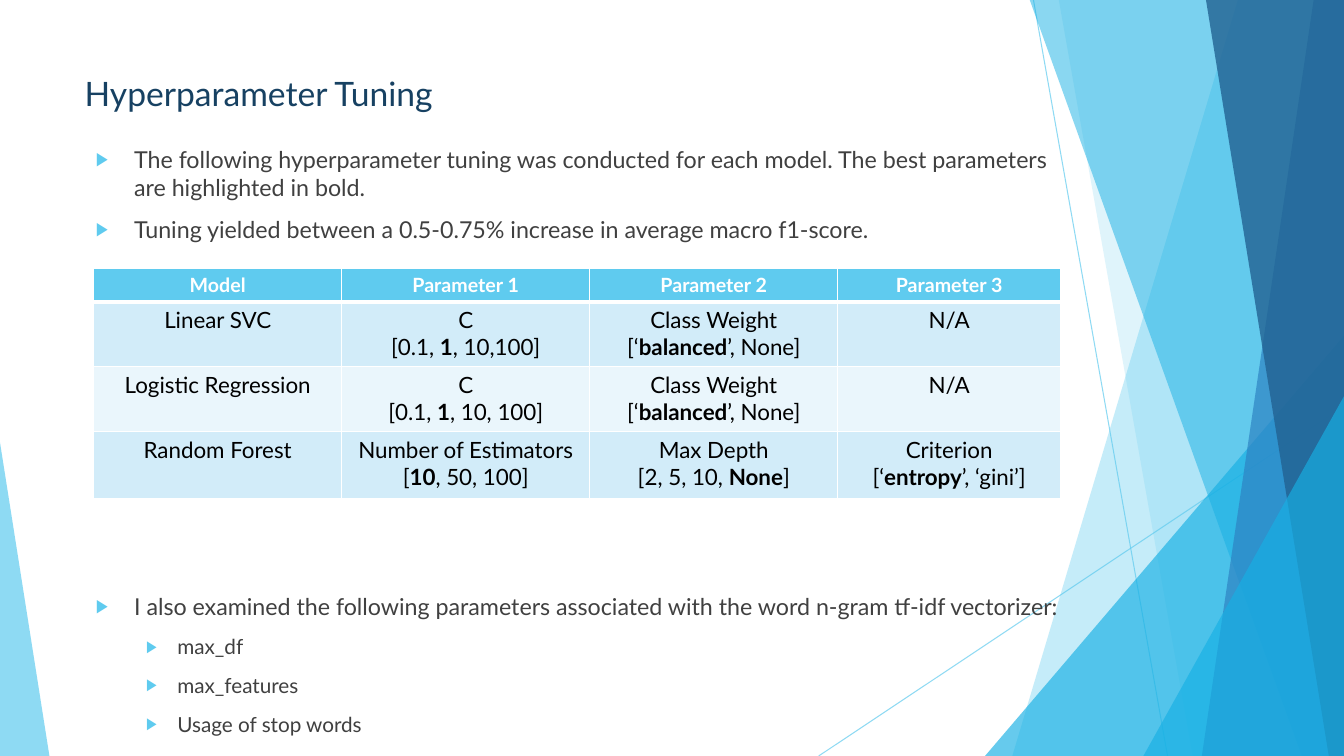
from dataclasses import dataclass

from lxml.etree import SubElement
from pptx import Presentation
from pptx.dml.color import RGBColor
from pptx.enum.shapes import MSO_CONNECTOR, MSO_SHAPE
from pptx.enum.text import MSO_ANCHOR, MSO_AUTO_SIZE, PP_ALIGN
from pptx.oxml import parse_xml
from pptx.oxml.ns import nsdecls, qn
from pptx.util import Inches, Pt


@dataclass(frozen=True)
class Theme:
    """Colours, font and type sizes of the slide."""
    font: str = "Lato"
    title: str = "174162"
    body: str = "404040"
    black: str = "000000"
    white: str = "FFFFFF"
    sky: str = "5FCBEF"
    cyan: str = "17B0E4"
    blue: str = "2E83C3"
    navy: str = "226292"
    bands: tuple = ("D2ECF9", "EAF6FC")
    title_size: float = 24
    body_size: float = 16.6
    sub_size: float = 14.8
    header_size: float = 14
    cell_size: float = 16


THEME = Theme()
WIDTH, HEIGHT, BAND_TOP = 13.33, 7.5, -0.01

LINES = [(10.25, 0, 11.58, HEIGHT), (WIDTH, 4.03, 8.12, HEIGHT)]
BACK_BANDS = [(12.28, 10.04, THEME.sky, 36), (10.5, 11.83, THEME.sky, 20)]
FRONT_BANDS = [
    (10.21, 12.91, THEME.cyan, 50),
    (13.03, 11.92, THEME.blue, 70),
    (11.96, 13.18, THEME.navy, 80),
]

BULLETS = [
    (0, 10, "The following hyperparameter tuning was conducted for each model. "
            "The best parameters are highlighted in bold."),
    (0, 10, "Tuning yielded between a 0.5-0.75% increase in average macro f1-score."),
    (0, 249.4, "I also examined the following parameters associated with "
               "the word n-gram tf-idf vectorizer:"),
    (1, 10, "max_df"),
    (1, 10, "max_features"),
    (1, 10, "Usage of stop words"),
]

COLUMN_WIDTHS = [2.46, 2.46, 2.46, 2.21]
ROW_HEIGHTS = [0.32, 0.64, 0.65, 0.66]
ROWS = [
    ["Model", "Parameter 1", "Parameter 2", "Parameter 3"],
    ["Linear SVC", "C\n[0.1, *1*, 10,100]", "Class Weight\n[‘*balanced*’, None]", "N/A"],
    ["Logistic Regression", "C\n[0.1, *1*, 10, 100]",
     "Class Weight\n[‘*balanced*’, None]", "N/A"],
    ["Random Forest", "Number of Estimators\n[*10*, 50, 100]",
     "Max Depth\n[2, 5, 10, *None*]", "Criterion\n[‘*entropy*’, ‘gini’]"],
]


def set_alpha(shape, percent):
    """Make the colour of a shape or line partly transparent."""
    color = shape._element.spPr.find(".//" + qn("a:srgbClr"))
    SubElement(color, qn("a:alpha")).set("val", str(percent * 1000))


def fill_shape(shape, color, opacity):
    """Give a shape a translucent fill without outline or shadow."""
    shape.shadow.inherit = False
    shape.fill.solid()
    shape.fill.fore_color.rgb = RGBColor.from_string(color)
    shape.line.fill.background()
    set_alpha(shape, opacity)


def add_line(slide, start_x, start_y, end_x, end_y):
    """Draw a thin decorative line."""
    line = slide.shapes.add_connector(
        MSO_CONNECTOR.STRAIGHT, Inches(start_x), Inches(start_y), Inches(end_x), Inches(end_y))
    line.line.color.rgb = RGBColor.from_string(THEME.sky)
    line.line.width = Pt(0.75)
    set_alpha(line, 70)
    SubElement(line._element.spPr, qn("a:effectLst"))


def add_band(slide, top_x, bottom_x, color, opacity):
    """Draw a band with a slanted left side that reaches the right edge."""
    corners = [(WIDTH, BAND_TOP), (WIDTH, HEIGHT), (bottom_x, HEIGHT)]
    builder = slide.shapes.build_freeform(Inches(top_x), Inches(BAND_TOP))
    builder.add_line_segments([(Inches(x), Inches(y)) for x, y in corners], close=True)
    fill_shape(builder.convert_to_shape(), color, opacity)


def add_triangle(slide, left, top, right, apex, color, opacity):
    """Draw a right triangle that stands on the bottom edge."""
    triangle = slide.shapes.add_shape(
        MSO_SHAPE.ISOSCELES_TRIANGLE, Inches(left), Inches(top),
        Inches(right - left), Inches(HEIGHT - top))
    triangle.adjustments[0] = apex
    fill_shape(triangle, color, opacity)


def add_decoration(slide):
    """Draw the faceted background from back to front."""
    for line in LINES:
        add_line(slide, *line)
    for band in BACK_BANDS:
        add_band(slide, *band)
    add_triangle(slide, 9.77, 3.33, WIDTH, 1, THEME.cyan, 66)
    for band in FRONT_BANDS:
        add_band(slide, *band)
    add_triangle(slide, 11.34, 3.93, WIDTH, 1, THEME.cyan, 66)
    add_triangle(slide, 0, 4.39, 0.49, 0, THEME.sky, 70)


def format_span(span, size, color, bold=False):
    """Set the font of one run."""
    span.font.name = THEME.font
    span.font.size = Pt(size)
    span.font.bold = bold
    span.font.color.rgb = RGBColor.from_string(color)


def place_placeholder(box, left, top, width, height):
    """Move a placeholder above the background and anchor its text at the top."""
    box.left, box.top = Inches(left), Inches(top)
    box.width, box.height = Inches(width), Inches(height)
    box._element.getparent().append(box._element)
    frame = box.text_frame
    frame.word_wrap = True
    frame.auto_size = MSO_AUTO_SIZE.NONE
    frame.vertical_anchor = MSO_ANCHOR.TOP
    return frame


def add_title(slide, text):
    """Fill the title placeholder."""
    frame = place_placeholder(slide.shapes.title, 0.74, 0.67, 9.4, 1.44)
    frame.text = text
    para = frame.paragraphs[0]
    para.alignment = PP_ALIGN.LEFT
    format_span(para.runs[0], THEME.title_size, THEME.title)


def set_bullet(para, margin, indent):
    """Give a paragraph an arrow bullet with a hanging indent."""
    properties = para._p.get_or_add_pPr()
    properties.set("marL", str(Inches(margin)))
    properties.set("indent", str(Inches(indent)))
    color = SubElement(properties, qn("a:buClr"))
    SubElement(color, qn("a:srgbClr")).set("val", THEME.sky)
    SubElement(properties, qn("a:buSzPct")).set("val", "80000")
    SubElement(properties, qn("a:buChar")).set("char", "▶")


def add_bullets(slide):
    """Fill the body placeholder with the bulleted list."""
    frame = place_placeholder(slide.placeholders[1], 0.85, 1.39, 9.92, 5.49)
    frame.text = "\n".join(text for _, _, text in BULLETS)
    for para, (level, space, _) in zip(frame.paragraphs, BULLETS):
        para.level = level
        para.space_before = Pt(space)
        set_bullet(para, *[(0.38, -0.38), (0.81, -0.31)][level])
        format_span(para.runs[0], [THEME.body_size, THEME.sub_size][level], THEME.body)


def set_borders(cell, top, bottom):
    """Draw white borders around a cell, with widths in points."""
    sides = [("L", 1), ("R", 1), ("T", top), ("B", bottom)]
    for index, (side, width) in enumerate(sides):
        border = parse_xml(
            f'<a:ln{side} {nsdecls("a")} w="{Pt(width)}"><a:solidFill>'
            f'<a:srgbClr val="{THEME.white}"/></a:solidFill></a:ln{side}>')
        cell._tc.get_or_add_tcPr().insert(index, border)


def fill_cell(cell, text, row):
    """Write a cell, with the parts between asterisks in bold."""
    header = row == 0
    cell.fill.solid()
    cell.fill.fore_color.rgb = RGBColor.from_string(
        THEME.sky if header else THEME.bands[(row - 1) % 2])
    set_borders(cell, 3 if row == 1 else 1, 3 if header else 1)
    size, color = (
        (THEME.header_size, THEME.white) if header else (THEME.cell_size, THEME.black))
    for number, content in enumerate(text.split("\n")):
        para = cell.text_frame.add_paragraph() if number else cell.text_frame.paragraphs[0]
        para.alignment = PP_ALIGN.CENTER
        for index, part in enumerate(content.split("*")):
            span = para.add_run()
            span.text = part
            format_span(span, size, color, header or index % 2 == 1)


def add_parameter_table(slide):
    """Add the table of tuned parameters."""
    table = slide.shapes.add_table(
        len(ROWS), len(COLUMN_WIDTHS), Inches(0.93), Inches(2.66),
        Inches(sum(COLUMN_WIDTHS)), Inches(sum(ROW_HEIGHTS))).table
    for column, width in zip(table.columns, COLUMN_WIDTHS):
        column.width = Inches(width)
    for row, (texts, height) in enumerate(zip(ROWS, ROW_HEIGHTS)):
        table.rows[row].height = Inches(height)
        for column, text in enumerate(texts):
            fill_cell(table.cell(row, column), text, row)


def main():
    """Build the slide and save the deck."""
    deck = Presentation()
    deck.slide_width, deck.slide_height = Inches(WIDTH), Inches(HEIGHT)
    page = deck.slides.add_slide(deck.slide_layouts[1])
    add_decoration(page)
    add_title(page, "Hyperparameter Tuning")
    add_bullets(page)
    add_parameter_table(page)
    deck.save("out.pptx")


if __name__ == "__main__":
    main()
